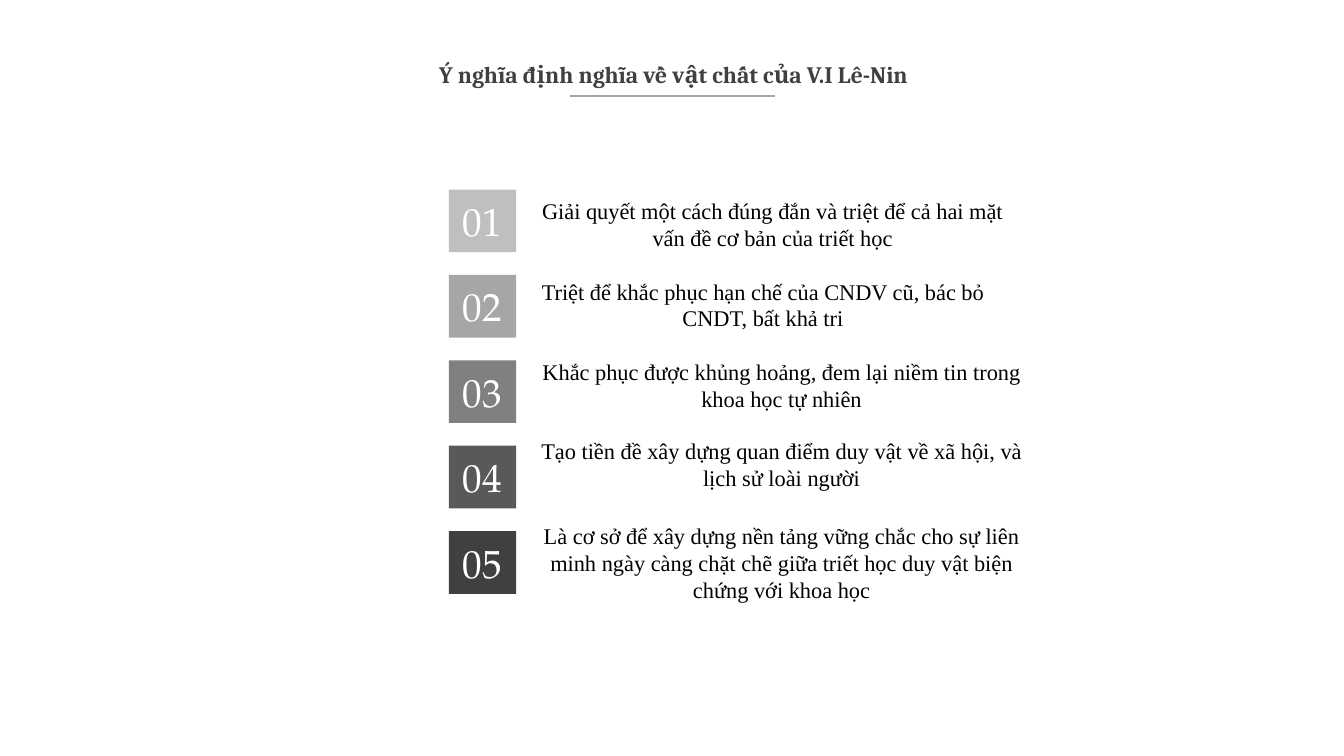
from pptx import Presentation
from pptx.dml.color import RGBColor
from pptx.enum.shapes import MSO_CONNECTOR, MSO_SHAPE
from pptx.enum.text import MSO_ANCHOR, PP_ALIGN
from pptx.util import Pt
from lxml import etree

STRAIGHT = MSO_CONNECTOR.STRAIGHT
RECTANGLE = MSO_SHAPE.RECTANGLE
MIDDLE = MSO_ANCHOR.MIDDLE
CENTER = PP_ALIGN.CENTER
DRAWING_NS = "http://schemas.openxmlformats.org/drawingml/2006/main"

COLORS = {"title": "404040", "rule": "A5A5A5", "number": "FFFFFF", "text": "000000"}
TITLE = "Ý nghĩa định nghĩa về vật chất của V.I Lê-Nin"

# Tile fill, statement, then top, width and height of the statement box
POINTS = [
    ("BFBFBF", "Giải quyết một cách đúng đắn và triệt để cả hai mặt vấn đề cơ bản của triết học",
     137.2, 337.7, 46),
    ("A6A6A6", "Triệt để khắc phục hạn chế của CNDV cũ, bác bỏ CNDT, bất khả tri",
     196.6, 324, 41.8),
    ("808080", "Khắc phục được khủng hoảng, đem lại niềm tin trong khoa học tự nhiên",
     258.5, 350.6, 33.1),
    ("595959", "Tạo tiền đề xây dựng quan điểm duy vật về xã hội, và lịch sử loài người",
     318.2, 350.6, 26.6),
    ("404040", "Là cơ sở để xây dựng nền tảng vững chắc cho sự liên minh ngày càng chặt chẽ "
               "giữa triết học duy vật biện chứng với khoa học",
     388.8, 350.6, 26.6),
]

TILE_LEFT, TILE_TOP, TILE_WIDTH, TILE_HEIGHT = 320.6, 135.4, 48.2, 44.8
TILE_PITCH = 61
TEXT_LEFT = 383


def rgb(value):
    return RGBColor.from_string(value)


def write(shape, text, font_name, size, color):
    """Put one centred paragraph in the shape and return it."""
    frame = shape.text_frame
    frame.word_wrap = True
    frame.vertical_anchor = MIDDLE
    frame.margin_left = frame.margin_right = 0
    frame.margin_top = frame.margin_bottom = Pt(8)
    para = frame.paragraphs[0]
    para.text = text
    para.alignment = CENTER
    para.font.name = font_name
    para.font.size = Pt(size)
    para.font.color.rgb = rgb(color)
    return para


def add_title(page):
    rule = page.shapes.add_connector(STRAIGHT, Pt(406.8), Pt(68.6), Pt(553.7), Pt(68.6))
    rule.line.color.rgb = rgb(COLORS["rule"])
    rule.line.width = Pt(1)
    etree.SubElement(rule._element.spPr, f"{{{DRAWING_NS}}}effectLst")

    box = page.shapes.add_textbox(Pt(60.5), Pt(38.2), Pt(841), Pt(33.8))
    para = write(box, TITLE, "Cambria", 16.8, COLORS["title"])
    para.font.bold = True
    para.line_spacing = 0.8


def add_point(page, index, fill, statement, top, width, height):
    tile = page.shapes.add_shape(RECTANGLE, Pt(TILE_LEFT), Pt(TILE_TOP + index * TILE_PITCH),
                                 Pt(TILE_WIDTH), Pt(TILE_HEIGHT))
    tile.shadow.inherit = False
    tile.fill.solid()
    tile.fill.fore_color.rgb = rgb(fill)
    tile.line.fill.background()
    write(tile, f"{index + 1:02}", "TeX Gyre Pagella", 28, COLORS["number"])

    box = page.shapes.add_textbox(Pt(TEXT_LEFT), Pt(top), Pt(width), Pt(height))
    write(box, statement, "Times New Roman", 16, COLORS["text"])


def main():
    deck = Presentation()
    deck.slide_width, deck.slide_height = Pt(960), Pt(540)
    page = deck.slides.add_slide(deck.slide_layouts[6])
    add_title(page)
    for index, point in enumerate(POINTS):
        add_point(page, index, *point)
    deck.save("out.pptx")


if __name__ == "__main__":
    main()
